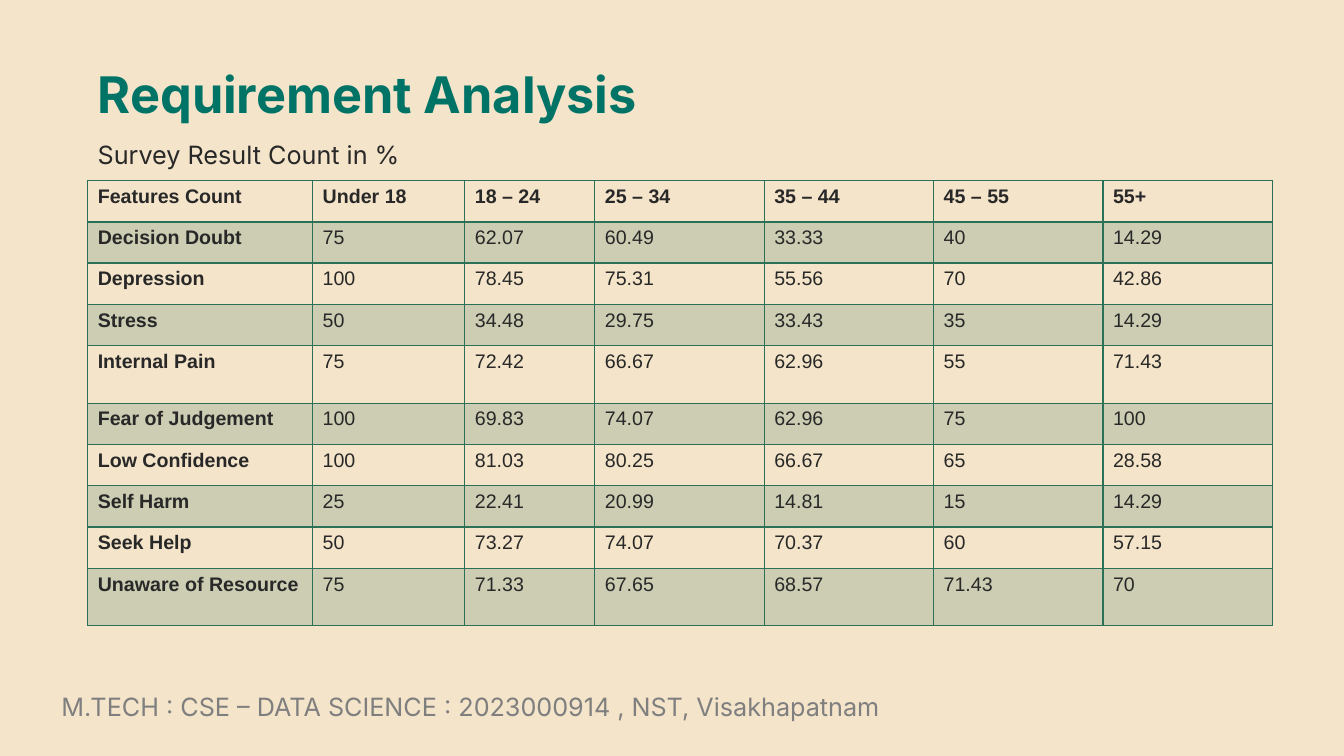
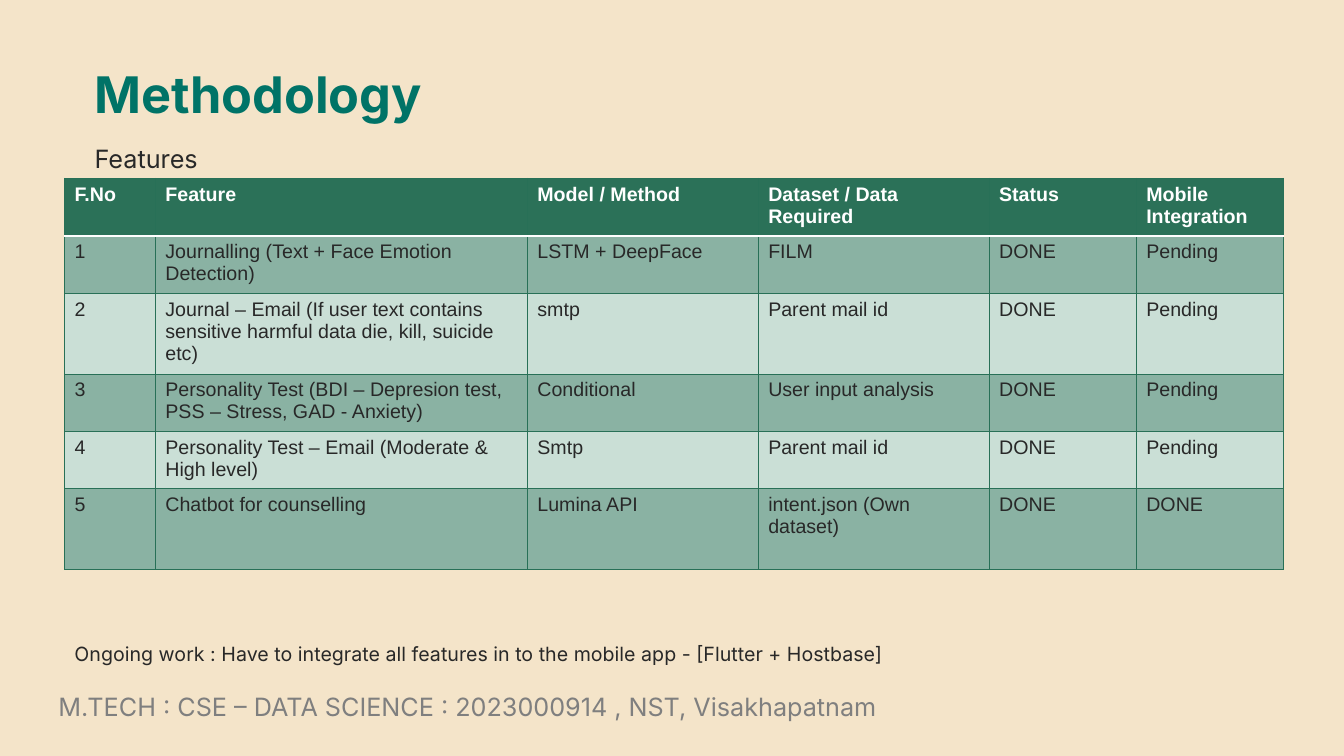
from dataclasses import dataclass

from lxml import etree
from pptx import Presentation
from pptx.dml.color import RGBColor
from pptx.enum.text import MSO_ANCHOR, MSO_AUTO_SIZE, PP_ALIGN
from pptx.oxml.ns import qn
from pptx.util import Inches, Pt

LEFT, TOP = PP_ALIGN.LEFT, MSO_ANCHOR.TOP
FIXED = MSO_AUTO_SIZE.NONE
TITLE_ONLY = 5


# Theme: colours, fonts and type sizes
@dataclass(frozen=True)
class Theme:
    sand: str = "F4E4C9"
    teal: str = "007367"
    ink: str = "282828"
    grey: str = "7F7F7F"
    white: str = "FFFFFF"
    green: str = "2B7158"
    edge: str = "287057"
    sage: str = "CCCDB2"
    mint: str = "CADFD6"
    moss: str = "8AB2A3"
    face: str = "Inter"
    grid: str = "Arial"
    head: int = 36
    lead: int = 18
    small: int = 14


THEME = Theme()


@dataclass(frozen=True)
class Look:
    """Colours and rules of one table."""
    head: str
    label: str
    bands: tuple
    line: str
    width: float
    rule: str
    bold: bool = False


SURVEY = Look(THEME.sand, THEME.ink, (THEME.sage, THEME.sand),
              THEME.green, 1, THEME.green, bold=True)
PLAN = Look(THEME.green, THEME.white, (THEME.moss, THEME.mint),
            THEME.edge, 0.75, THEME.white)
RULE = 2


class Deck:
    def __init__(self, theme):
        self.theme = theme
        self.prs = Presentation()
        self.prs.slide_width = Inches(13.33)
        self.prs.slide_height = Inches(7.5)
        fill = self.prs.slide_master.background.fill
        fill.solid()
        fill.fore_color.rgb = RGBColor.from_string(theme.sand)
        self.slide = None

    def words(self, frame, text, color, size, face, bold=False, space=None):
        frame.word_wrap = True
        para = frame.paragraphs[0]
        para.alignment = LEFT
        if space:
            para.line_spacing = space
        run = para.add_run()
        run.text = text
        style = {"name": face, "size": Pt(size), "bold": bold}
        for key, value in style.items():
            setattr(run.font, key, value)
        run.font.color.rgb = RGBColor.from_string(color)

    def page(self, title, left):
        """Start a slide with its title and footer."""
        t = self.theme
        layout = self.prs.slide_layouts[TITLE_ONLY]
        self.slide = self.prs.slides.add_slide(layout)
        shape = self.slide.shapes.title
        place = {"left": left, "top": 0.58, "width": 9.11, "height": 0.71}
        for key, value in place.items():
            setattr(shape, key, Inches(value))
        frame = shape.text_frame
        frame.auto_size = FIXED
        frame.vertical_anchor = TOP
        self.words(frame, title, t.teal, t.head, t.face, bold=True)
        self.text("M.TECH : CSE – DATA SCIENCE : 2023000914 , NST, Visakhapatnam",
                  (left - 0.36, 6.81, 8.61, 0.4), t.grey, t.lead)

    def text(self, text, box, color, size, space=None):
        shape = self.slide.shapes.add_textbox(*map(Inches, box))
        self.words(shape.text_frame, text, color, size, self.theme.face,
                   space=space)

    def lead(self, text, left, top):
        t = self.theme
        self.text(text, (left, top, 3.83, 0.46), t.ink, t.lead, space=1.3)

    def edge(self, cell, side, color, width):
        props = cell._tc.get_or_add_tcPr()
        line = etree.SubElement(props, qn(f"a:ln{side}"), w=str(Pt(width)))
        fill = etree.SubElement(line, qn("a:solidFill"))
        etree.SubElement(fill, qn("a:srgbClr"), val=color)

    def table(self, rows, left, top, cols, highs, look):
        t = self.theme
        box = map(Inches, (left, top, sum(cols), sum(highs)))
        table = self.slide.shapes.add_table(len(rows), len(cols), *box).table
        table.first_row = table.horz_banding = False
        for col, width in zip(table.columns, cols):
            col.width = Inches(width)
        for row, high in zip(table.rows, highs):
            row.height = Inches(high)

        for r, row in enumerate(rows):
            for c, text in enumerate(row):
                cell = table.cell(r, c)
                # The rule under the header is shared by two rows
                for side in "LRTB":
                    if (r, side) in ((0, "B"), (1, "T")):
                        self.edge(cell, side, look.rule, RULE)
                    else:
                        self.edge(cell, side, look.line, look.width)
                back = look.bands[(r - 1) % 2] if r else look.head
                cell.fill.solid()
                cell.fill.fore_color.rgb = RGBColor.from_string(back)
                self.words(cell.text_frame, text, t.ink if r else look.label,
                           t.small, t.grid,
                           bold=r == 0 or (look.bold and c == 0))


# Table contents
COUNTS = [
    ("Features Count", "Under 18", "18 – 24", "25 – 34", "35 – 44", "45 – 55", "55+"),
    ("Decision Doubt", "75", "62.07", "60.49", "33.33", "40", "14.29"),
    ("Depression", "100", "78.45", "75.31", "55.56", "70", "42.86"),
    ("Stress", "50", "34.48", "29.75", "33.43", "35", "14.29"),
    ("Internal Pain", "75", "72.42", "66.67", "62.96", "55", "71.43"),
    ("Fear of Judgement", "100", "69.83", "74.07", "62.96", "75", "100"),
    ("Low Confidence", "100", "81.03", "80.25", "66.67", "65", "28.58"),
    ("Self Harm", "25", "22.41", "20.99", "14.81", "15", "14.29"),
    ("Seek Help", "50", "73.27", "74.07", "70.37", "60", "57.15"),
    ("Unaware of Resource", "75", "71.33", "67.65", "68.57", "71.43", "70"),
]
TASKS = [
    ("F.No", "Feature", "Model / Method", "Dataset / Data Required",
     "Status", "Mobile Integration"),
    ("1", "Journalling (Text + Face Emotion Detection)", "LSTM + DeepFace",
     "FILM", "DONE", "Pending"),
    ("2", "Journal – Email (If user text contains sensitive harmful data "
     "die, kill, suicide etc)", "smtp", "Parent mail id", "DONE", "Pending"),
    ("3", "Personality Test (BDI – Depresion test, PSS – Stress, "
     "GAD - Anxiety)", "Conditional", "User input analysis", "DONE", "Pending"),
    ("4", "Personality Test – Email (Moderate & High level)", "Smtp",
     "Parent mail id", "DONE", "Pending"),
    ("5", "Chatbot for counselling", "Lumina API", "intent.json (Own dataset)",
     "DONE", "DONE"),
]


def main():
    deck = Deck(THEME)

    # Survey results
    deck.page("Requirement Analysis", 0.87)
    deck.lead("Survey Result Count in %", 0.87, 1.24)
    deck.table(COUNTS, 0.87, 1.79, [2.23, 1.51, 1.29] + [1.68] * 4,
               ([0.41] * 4 + [0.57]) * 2, SURVEY)

    # Feature plan
    deck.page("Methodology", 0.84)
    deck.lead("Features", 0.84, 1.28)
    deck.table(TASKS, 0.64, 1.77, [0.9, 3.69, 2.29, 2.29, 1.46, 1.46],
               [0.57, 0.57, 0.8] * 2, PLAN)
    deck.text("Ongoing work : Have to integrate all features in to the mobile "
              "app - [Flutter + Hostbase]", (0.64, 6.32, 10.96, 0.34),
              THEME.ink, THEME.small)

    deck.prs.save("out.pptx")


if __name__ == "__main__":
    main()
